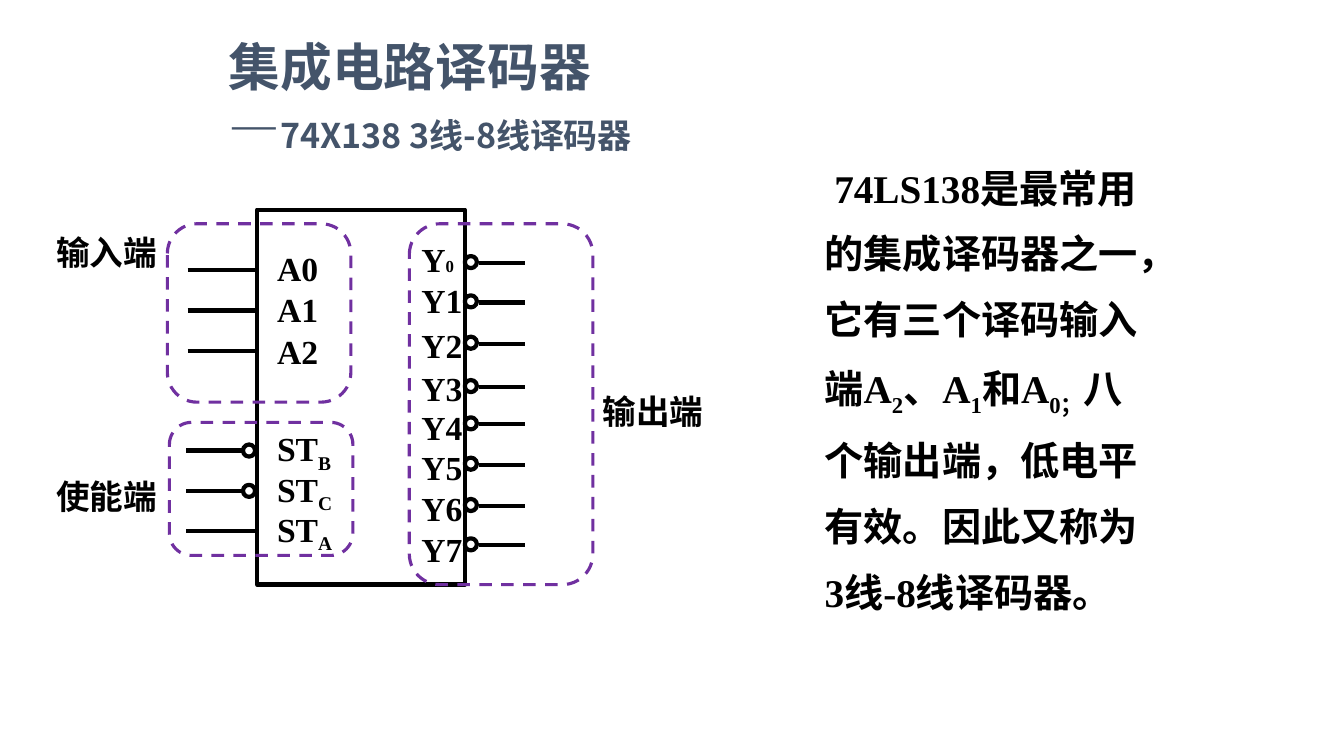
from lxml import etree
from pptx import Presentation
from pptx import util as u
from pptx.dml.color import RGBColor
from pptx.enum import dml, shapes, text
from pptx.oxml import ns

INK = {"black": "000000", "slate": "44546A", "violet": "7030A0"}
SERIF, SANS = "Times New Roman", "Noto Sans CJK SC"
KIND = shapes.MSO_SHAPE


def add_run(para, words, size, font=SERIF, ink="black", sub=False):
    run = para.add_run()
    run.text = words
    run.font.size = u.Pt(size)
    run.font.bold = True
    run.font.name = font
    run.font.color.rgb = RGBColor.from_string(INK[ink])
    props = run.font._element
    etree.SubElement(props, ns.qn("a:ea")).set("typeface", SANS)
    if sub:
        props.set("baseline", "-25000")


def add_text(slide, x, y, w, h, wrap=False):
    frame = slide.shapes.add_textbox(*map(u.Inches, (x, y, w, h))).text_frame
    frame.word_wrap = wrap
    frame.auto_size = text.MSO_AUTO_SIZE.SHAPE_TO_FIT_TEXT
    return frame.paragraphs[0]


def add_outline(slide, kind, x, y, w, h, ink="black", width=3, dash=None):
    shape = slide.shapes.add_shape(kind, *map(u.Inches, (x, y, w, h)))
    shape.shadow.inherit = False
    shape.fill.background()
    shape.line.color.rgb = RGBColor.from_string(INK[ink])
    shape.line.width = u.Pt(width)
    if dash:
        shape.line.dash_style = dash


def add_wire(slide, x, y, end):
    wire = slide.shapes.add_connector(
        shapes.MSO_CONNECTOR.STRAIGHT, *map(u.Inches, (x, y, end, y)))
    wire.line.color.rgb = RGBColor.from_string(INK["black"])
    wire.line.width = u.Pt(3)
    etree.SubElement(wire._element.spPr, ns.qn("a:effectLst"))


def add_bubble(slide, x, y):
    add_outline(slide, KIND.OVAL, x, y, 0.12, 0.12)


def add_label(slide, x, y, words, tail="", size=24, sub=False, w=0.61):
    para = add_text(slide, x, y, w, 0.5)
    add_run(para, words, 24)
    if tail:
        add_run(para, tail, size, sub=sub)


def draw_title(slide, x, y, w, h):
    para = add_text(slide, x, y, w, h, wrap=True)
    frame = slide.shapes[-1].text_frame
    frame.auto_size = text.MSO_AUTO_SIZE.NONE
    frame.vertical_anchor = text.MSO_ANCHOR.MIDDLE
    add_run(para, "集成电路译码器", 36.9, SANS, "slate")
    para.add_line_break()
    add_run(para, "—", 36.9, SANS, "slate")
    add_run(para, "74X138 3线-8线译码器", 24.3, SANS, "slate")


def draw_notes(slide, x, y, w, h):
    para = add_text(slide, x, y, w, h, wrap=True)
    para.line_spacing = 1.4
    for words, font, sub in (
            (" 74LS138是", SERIF, False),
            ("最常用的集成译码器之一，它有三个译码输入端", SANS, False),
            ("A", SERIF, False), ("2", SERIF, True), ("、", SANS, False),
            ("A", SERIF, False), ("1", SERIF, True), ("和", SANS, False),
            ("A", SERIF, False), ("0；", SERIF, True),
            ("八个输出端，低电平有效。因此又称为", SANS, False),
            ("3线-8线", SERIF, False), ("译码器。", SANS, False)):
        add_run(para, words, 28, font, sub=sub)


def draw_inputs(slide, x, y):
    for i in range(3):
        add_wire(slide, x - 0.69, y + 0.6 + 0.4 * i, x)
        add_label(slide, x + 0.1, y + 0.33 + 0.41 * i, f"A{i}")


def draw_enables(slide, x, y):
    for i, (tail, low) in enumerate((("B", True), ("C", True), ("A", False))):
        top = y + 0.4 * i
        add_wire(slide, x - 0.7, top + 2.39, x - 0.15 if low else x)
        if low:
            add_bubble(slide, x - 0.14, top + 2.33)
        add_label(slide, x + 0.1, top + 2.12, "ST", tail, sub=True, w=0.76)


def draw_outputs(slide, x, y):
    # Label and bubble heights below the chip's top edge
    rows = ((0.24, 0.46), (0.65, 0.85), (1.09, 1.26), (1.52, 1.69),
            (1.91, 2.06), (2.3, 2.46), (2.71, 2.87), (3.12, 3.26))
    for i, (label, ring) in enumerate(rows):
        add_wire(slide, x + 0.14, y + ring + 0.07, x + 0.6)
        add_bubble(slide, x, y + ring)
        add_label(slide, x - 0.53, y + label, "Y", str(i),
                  size=24 if i else 12)


def draw_chip(slide, x, y, w, h):
    add_outline(slide, KIND.RECTANGLE, x, y, w, h)
    draw_inputs(slide, x, y)
    draw_enables(slide, x, y)
    draw_outputs(slide, x + w, y)
    # Pin groups: frame offset and height, then name offset
    for left, top, high, name, dx, dy in (
            (-0.89, 0.14, 1.77, "输入端", -2.09, 0.17),
            (-0.87, 2.11, 1.32, "使能端", -2.09, 2.59),
            (1.51, 0.14, 3.58, "输出端", 3.33, 1.75)):
        add_outline(slide, KIND.ROUNDED_RECTANGLE, x + left, y + top, 1.82,
                    high, "violet", 2.25, dml.MSO_LINE.DASH)
        add_label(slide, x + dx, y + dy, name, w=1.2)


def main():
    deck = Presentation()
    deck.slide_width, deck.slide_height = u.Inches(13.33), u.Inches(7.5)
    slide = deck.slides.add_slide(deck.slide_layouts[6])
    draw_notes(slide, 8.08, 1.39, 3.47, 4.71)
    draw_chip(slide, 2.55, 2.08, 2.06, 3.72)
    draw_title(slide, 2.17, 0.34, 9, 1.25)
    deck.save("out.pptx")


if __name__ == "__main__":
    main()
